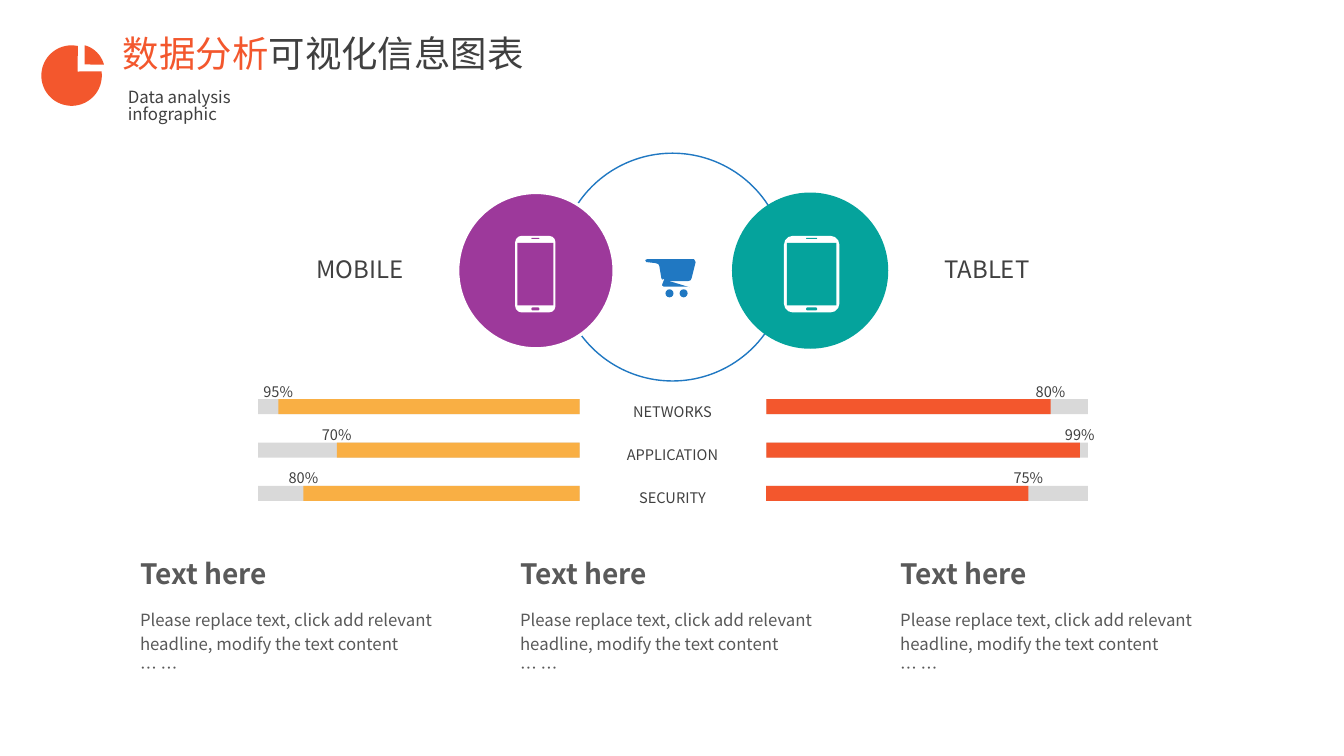
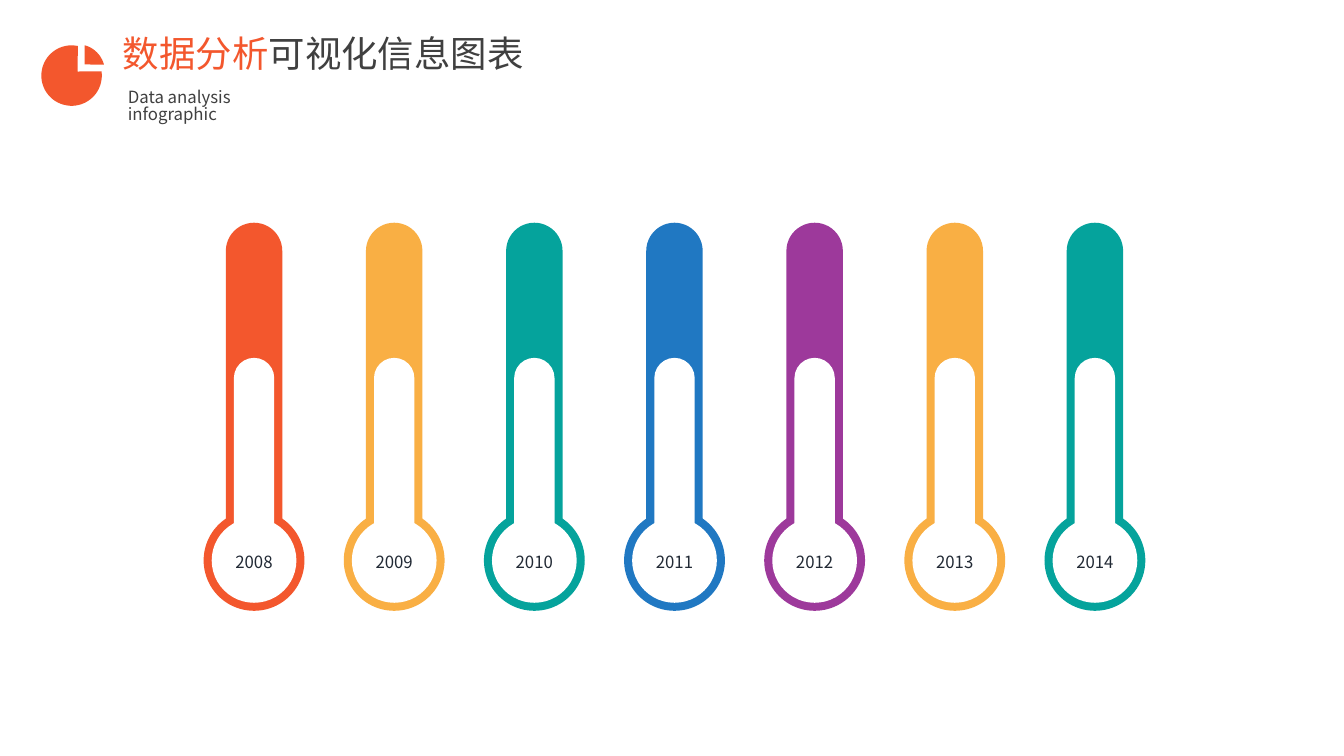
from math import cos, radians, sin

from lxml import etree
from pptx import Presentation
from pptx import util as u
from pptx.dml.color import RGBColor
from pptx.enum import shapes, text
from pptx.oxml.ns import qn

FACE = "Noto Sans CJK SC"
RED, GOLD, TEAL, BLUE, PLUM = "F3572D", "F9AF44", "05A39C", "2078C2", "9D399B"
WHITE, PALE, DARK, GREY, NAVY = "FFFFFF", "D9D9D9", "404040", "595959", "222A35"
KIND = shapes.MSO_SHAPE
MID = text.MSO_ANCHOR.MIDDLE
MAIN = text.PP_ALIGN.CENTER


def tint(code):
    return RGBColor.from_string(code)


def put(item, **vals):
    for key, val in vals.items():
        setattr(item, key, val)


def arc(x, y, size, start, end, step=5):
    turns = [radians(a) for a in range(start, end + 1, step)]
    return [(x + size * cos(a), y + size * sin(a)) for a in turns]


class Deck:
    """Holds the shared style and the slide being drawn."""

    def __init__(self):
        self.file = Presentation()
        put(self.file, slide_width=u.Inches(13.33), slide_height=u.Inches(7.5))

    def page(self):
        self.slide = self.file.slides.add_slide(self.file.slide_layouts[6])
        self.words(1.12, 0.31, 4.19, 0.54, [[("数据分析", RED), ("可视化信息图表", DARK)]],
                   size=26, lead=0.9)
        self.poly([(0.77, 0.71)] + arc(0.71, 0.75, 0.3, -8, 282), RED)
        self.poly([(0.84, 0.64)] + arc(0.77, 0.71, 0.27, -75, -15), RED)
        self.words(1.17, 0.85, 1.6, 0.5, ["Data analysis infographic"], lead=0.82)

    def paint(self, item, fill, line, width):
        item.shadow.inherit = False
        if fill:
            item.fill.solid()
            item.fill.fore_color.rgb = tint(fill)
        else:
            item.fill.background()
        if line:
            item.line.color.rgb = tint(line)
            item.line.width = u.Pt(width)
        else:
            item.line.fill.background()

    def shape(self, kind, x, y, w, h, fill=None, line=None, width=1, bend=None):
        box = [u.Inches(v) for v in (x, y, w, h)]
        item = self.slide.shapes.add_shape(kind, *box)
        if bend is not None:
            item.adjustments[0] = bend
        self.paint(item, fill, line, width)

    def poly(self, dots, fill, line=None, close=True):
        dots = [(u.Inches(x), u.Inches(y)) for x, y in dots]
        form = self.slide.shapes.build_freeform(*dots[0])
        form.add_line_segments(dots[1:], close=close)
        self.paint(form.convert_to_shape(), fill, line, 1)

    def words(self, x, y, w, h, paras, size=12, tone=DARK, bold=False, lead=1.0,
              align=None, anchor=text.MSO_ANCHOR.TOP, pad=None):
        box = [u.Inches(v) for v in (x, y, w, h)]
        frame = self.slide.shapes.add_textbox(*box).text_frame
        put(frame, word_wrap=True, vertical_anchor=anchor)
        if pad is not None:
            for side in ("left", "top", "right", "bottom"):
                setattr(frame, "margin_" + side, u.Inches(pad))
        for i, runs in enumerate(paras):
            para = frame.add_paragraph() if i else frame.paragraphs[0]
            put(para, alignment=align, line_spacing=lead)
            for part, hue in [(runs, tone)] if isinstance(runs, str) else runs:
                run = para.add_run()
                run.text = part
                put(run.font, name=FACE, size=u.Pt(size), bold=bold)
                run.font.color.rgb = tint(hue)
                etree.SubElement(run.font._element, qn("a:ea"), typeface=FACE)

    def note(self, mid, y, w, label):
        self.words(mid - w / 2, y, w, 0.23, [label], size=10.4, lead=1.2,
                   align=MAIN, pad=0.04)

    def phone(self, mid, w, key, tone):
        for wide, y, h, fill, bend in ((w, 2.34, 0.76, WHITE, 0.16),
                                       (w * 0.89, 2.41, 0.62, tone, 0),
                                       (key, 2.36, 0.01, tone, 0.5),
                                       (key, 3.05, 0.03, tone, 0.5)):
            self.shape(KIND.ROUNDED_RECTANGLE, mid - wide / 2, y, wide, h, fill, bend=bend)

    def cart(self):
        self.poly([(6.82, 2.79), (6.85, 2.78), (6.86, 2.76), (6.9, 2.6), (6.89, 2.58),
                   (6.88, 2.57), (6.42, 2.57), (6.4, 2.58), (6.41, 2.6), (6.5, 2.61),
                   (6.53, 2.62), (6.54, 2.64), (6.56, 2.76), (6.57, 2.78), (6.6, 2.79)], BLUE)
        for x in (6.6, 6.74):
            self.shape(KIND.OVAL, x, 2.87, 0.08, 0.08, BLUE)
        self.poly([(6.58, 2.77), (6.56, 2.82), (6.56, 2.84), (6.58, 2.85), (6.84, 2.85)],
                  BLUE, WHITE, close=False)

    def tube(self, x, tone, year):
        for fill, gap, wide, top, side, rise, high in (
                (tone, 0, 1, 5.06, 0.22, 2.21, 3.54),
                (WHITE, 0.08, 0.84, 5.14, 0.3, 3.55, 1.85)):
            self.shape(KIND.OVAL, x + gap, top, wide, wide, fill)
            self.shape(KIND.ROUNDED_RECTANGLE, x + side, rise, 1 - 2 * side, high,
                       fill, bend=0.5)
        self.words(x + 0.08, 5.42, 0.84, 0.3, [year], tone=NAVY, align=MAIN)


def compare(deck):
    deck.page()
    rows = (("NETWORKS", "95%", 2.99, "80%", 2.82),
            ("APPLICATION", "70%", 2.41, "99%", 3.11),
            ("SECURITY", "80%", 2.74, "75%", 2.6))
    left, right, full = 2.56, 7.6, 3.19
    for i, (name, lrate, llen, rrate, rlen) in enumerate(rows):
        y = 3.96 + 0.43 * i
        for x in (left, right):
            deck.shape(KIND.RECTANGLE, x, y, full, 0.15, PALE)
        edge = left + full - llen
        deck.shape(KIND.RECTANGLE, edge, y, llen, 0.15, GOLD)
        deck.shape(KIND.RECTANGLE, right, y, rlen, 0.15, RED)
        deck.note(edge, y - 0.24, 0.46, lrate)
        deck.note(right + rlen, y - 0.24, 0.46, rrate)
        deck.note(6.67, y - 0.04, 1.11, name)
    for x, name in ((2.64, "MOBILE"), (8.86, "TABLET")):
        deck.words(x, 2.43, 1.86, 0.42, [name], size=17.1, lead=1.2, align=MAIN, anchor=MID)
    deck.shape(KIND.OVAL, 5.54, 1.52, 2.26, 2.26, line=BLUE)
    deck.cart()
    deck.shape(KIND.OVAL, 4.54, 1.91, 1.55, 1.55, PLUM, WHITE, 2.25)
    deck.phone(5.31, 0.4, 0.08, PLUM)
    deck.shape(KIND.OVAL, 7.26, 1.91, 1.55, 1.55, TEAL)
    deck.phone(8.05, 0.55, 0.11, TEAL)
    body = ["Please replace text, click add relevant headline, modify the text content", "… …"]
    for i in range(3):
        x = 1.29 + 3.77 * i
        deck.words(x, 5.96, 3.21, 0.91, body, tone=GREY, lead=1.2)
        deck.words(x, 5.41, 3.21, 0.55, ["Text here"], size=20, tone=GREY, bold=True, anchor=MID)


def years(deck):
    deck.page()
    for i, tone in enumerate((RED, GOLD, TEAL, BLUE, PLUM, GOLD, TEAL)):
        deck.tube(2.02 + 1.39 * i, tone, str(2008 + i))


def main():
    deck = Deck()
    compare(deck)
    years(deck)
    deck.file.save("out.pptx")


if __name__ == "__main__":
    main()
